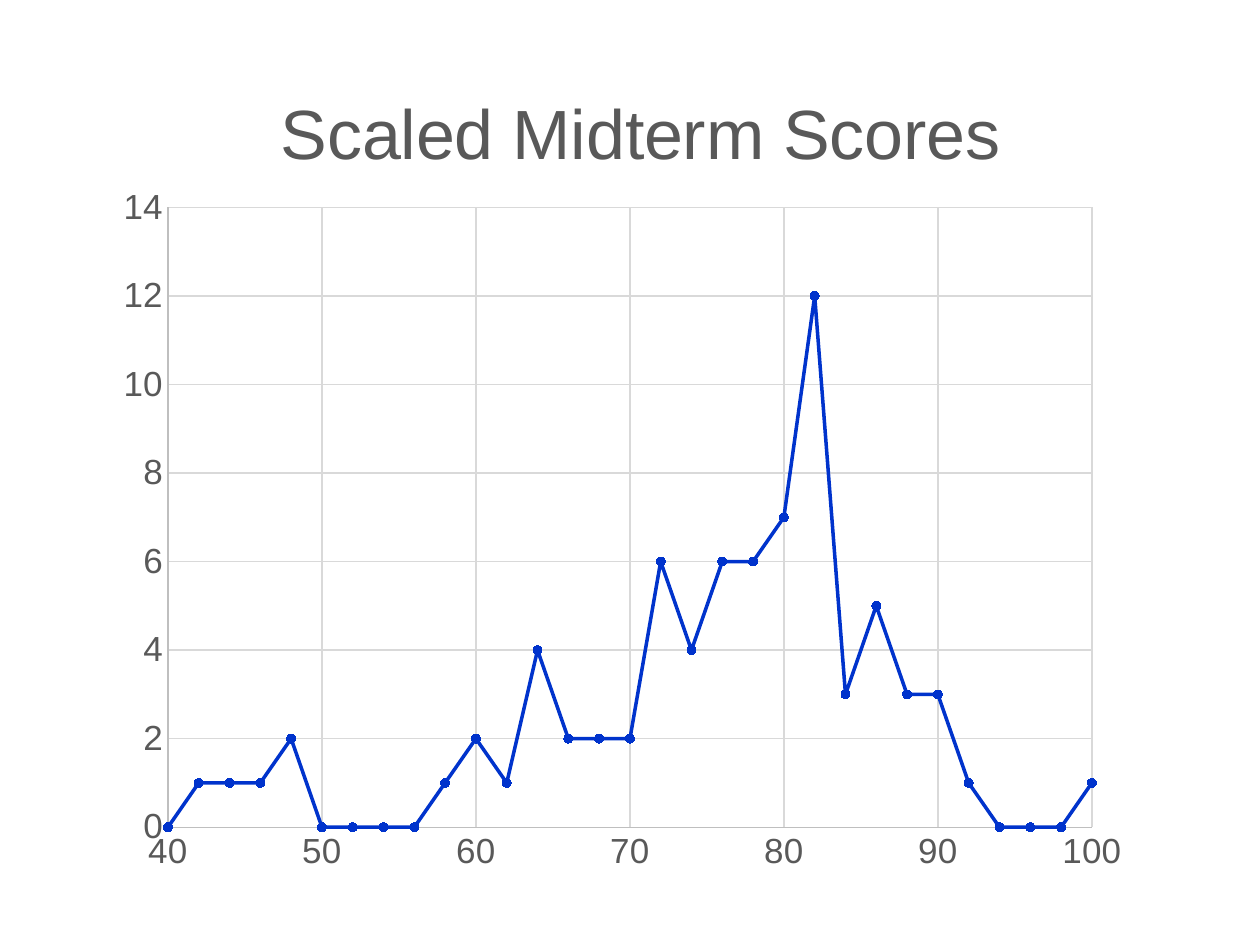
"""Build a slide with a smooth scatter chart of scaled midterm scores."""
from dataclasses import dataclass

from lxml import etree
from pptx import Presentation
from pptx.chart.axis import ValueAxis
from pptx.chart.chart import Chart
from pptx.chart.data import XyChartData
from pptx.dml.color import RGBColor
from pptx.enum import chart as ch
from pptx.oxml.ns import qn
from pptx.util import Pt


@dataclass(frozen=True)
class Theme:
    font: str = "Arial"
    text: RGBColor = RGBColor(0x59, 0x59, 0x59)
    axis: RGBColor = RGBColor(0xBF, 0xBF, 0xBF)
    grid: RGBColor = RGBColor(0xD9, 0xD9, 0xD9)
    curve: RGBColor = RGBColor(0x00, 0x33, 0xCC)
    title_size: Pt = Pt(40)
    label_size: Pt = Pt(20)
    hairline: Pt = Pt(0.75)
    curve_width: Pt = Pt(2)


@dataclass(frozen=True)
class Scale:
    low: int
    high: int
    step: int


THEME = Theme()
SCORES = Scale(40, 100, 10)
COUNTS = Scale(0, 14, 2)
BIN_WIDTH = 2
STUDENTS = [0, 1, 1, 1, 2, 0, 0, 0, 0, 1, 2, 1, 4, 2, 2, 2,
            6, 4, 6, 6, 7, 12, 3, 5, 3, 3, 1, 0, 0, 0, 1]
PLOT = {"x": 0.05, "y": 0.19, "w": 0.88, "h": 0.76}


def style_font(font, size: Pt) -> None:
    font.name = THEME.font
    font.size = size
    font.bold = False
    font.color.rgb = THEME.text


def style_axis(axis: ValueAxis, scale: Scale) -> None:
    axis.minimum_scale, axis.maximum_scale = scale.low, scale.high
    axis.major_unit = scale.step
    axis.major_tick_mark = axis.minor_tick_mark = ch.XL_TICK_MARK.NONE
    axis.has_major_gridlines = True
    for line, color in ((axis.format.line, THEME.axis),
                        (axis.major_gridlines.format.line, THEME.grid)):
        line.color.rgb = color
        line.width = THEME.hairline
    style_font(axis.tick_labels.font, THEME.label_size)


def style_series(chart: Chart) -> None:
    series = chart.plots[0].series[0]
    series.smooth = True
    series.format.line.color.rgb = THEME.curve
    series.format.line.width = THEME.curve_width
    marker = series.marker
    marker.style = ch.XL_MARKER_STYLE.CIRCLE
    marker.size = 5
    marker.format.fill.solid()
    marker.format.fill.fore_color.rgb = THEME.curve
    marker.format.line.color.rgb = THEME.curve


def place_plot(chart: Chart) -> None:
    area = chart.element.find(".//" + qn("c:plotArea"))
    layout = area.find(qn("c:layout"))
    if layout is None:
        layout = etree.Element(qn("c:layout"))
        area.insert(0, layout)
    manual = etree.SubElement(layout, qn("c:manualLayout"))
    settings = {"layoutTarget": "inner", "xMode": "edge", "yMode": "edge", **PLOT}
    for name, value in settings.items():
        etree.SubElement(manual, qn("c:" + name)).set("val", str(value))


def add_title(chart: Chart, title: str) -> None:
    chart.has_title = True
    tf = chart.chart_title.text_frame
    tf.text = title
    style_font(tf.paragraphs[0].runs[0].font, THEME.title_size)
    chart.chart_title.include_in_layout = False


def main() -> None:
    prs = Presentation()
    prs.slide_width, prs.slide_height = Pt(720), Pt(540)
    s = prs.slides.add_slide(prs.slide_layouts[6])

    data = XyChartData()
    points = data.add_series("Series 1")
    for i, count in enumerate(STUDENTS):
        points.add_data_point(SCORES.low + i * BIN_WIDTH, count)

    chart = s.shapes.add_chart(ch.XL_CHART_TYPE.XY_SCATTER_SMOOTH,
                               Pt(66), Pt(30), Pt(600), Pt(468), data).chart
    chart.has_legend = False
    chart.font.name = THEME.font
    chart.plots[0].vary_by_categories = False
    add_title(chart, "Scaled Midterm Scores")
    style_axis(chart.category_axis, SCORES)
    style_axis(chart.value_axis, COUNTS)
    style_series(chart)
    place_plot(chart)
    prs.save("out.pptx")


if __name__ == "__main__":
    main()
